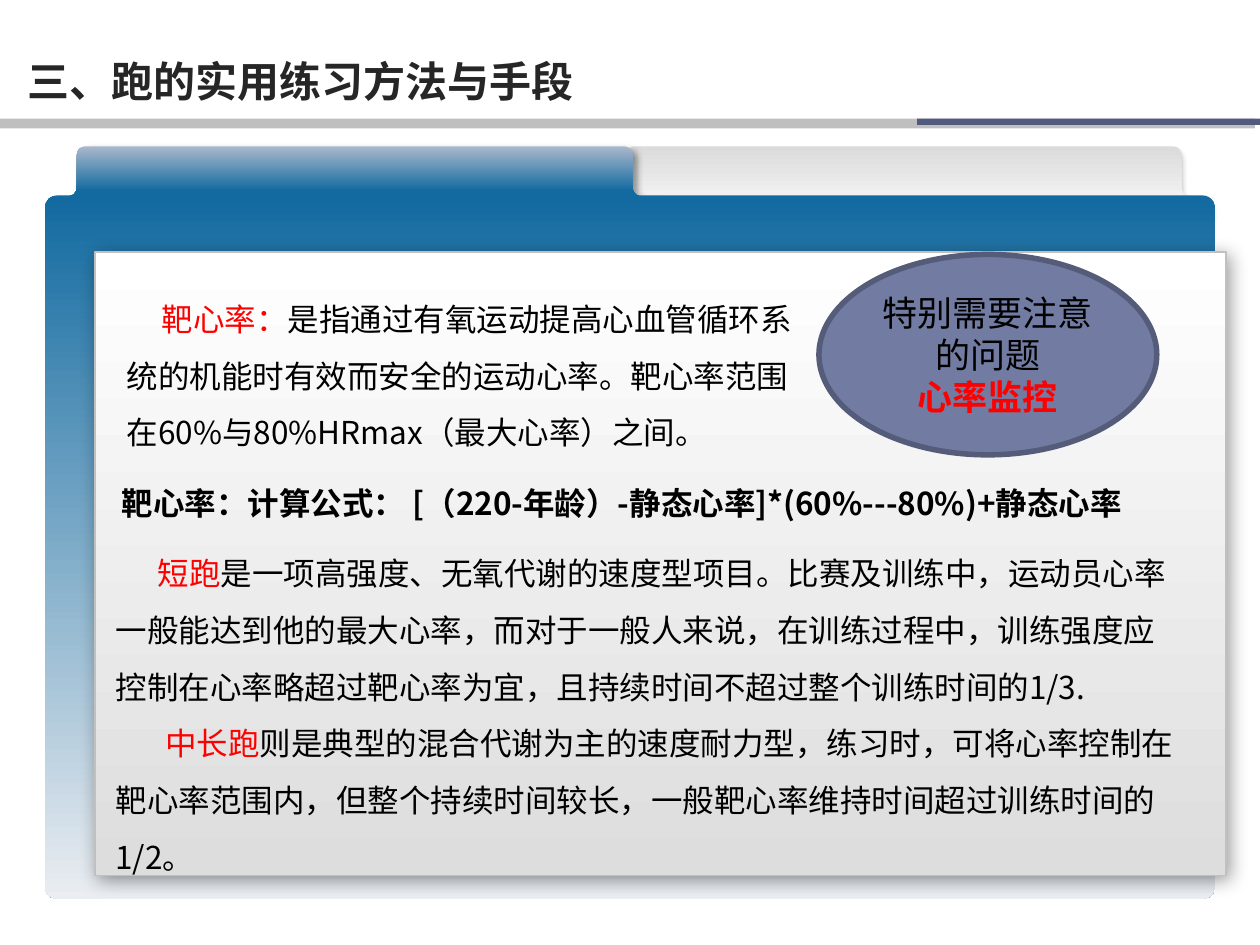
from lxml.etree import SubElement
from pptx import Presentation
from pptx.dml.color import RGBColor
from pptx.enum.shapes import MSO_SHAPE
from pptx.enum.text import MSO_ANCHOR, MSO_AUTO_SIZE, PP_ALIGN
from pptx.oxml.ns import qn
from pptx.util import Cm, Pt

FONT = "Noto Sans CJK SC"
BLACK, RED, GREY, BLUE = "000000", "FF0000", "BFBFBF", "126AA0"


def color(value):
    return RGBColor.from_string(value)


def rounded(start, corner, end, steps=6):
    def blend(a, b, c, t):
        return (1 - t) ** 2 * a + 2 * t * (1 - t) * b + t ** 2 * c

    return [tuple(blend(*axis, i / steps) for axis in zip(start, corner, end))
            for i in range(steps + 1)]


class FolderSlide:
    """Holds the style and the current slide, with a method for each kind of element."""

    def __init__(self, slide):
        self.slide = slide
        self.shapes = slide.shapes

    def place(self, shape, box):
        shape.left, shape.top, shape.width, shape.height = map(Cm, box)

    def paint(self, shape, fill, line=None, shadow=None):
        if isinstance(fill, str):
            shape.fill.solid()
            shape.fill.fore_color.rgb = color(fill)
        else:
            shape.fill.gradient()
            shape.fill.gradient_angle = 270
            for stop, (position, value) in zip(shape.fill.gradient_stops, fill):
                stop.position = position
                stop.color.rgb = color(value)
        if line:
            shape.line.color.rgb = color(line[0])
            shape.line.width = Pt(line[1])
        else:
            shape.line.fill.background()
        shape.shadow.inherit = False
        if shadow:
            alpha, blur, distance, angle = shadow
            effects = shape._element.spPr.find(qn("a:effectLst"))
            outer = SubElement(effects, qn("a:outerShdw"), blurRad=str(Pt(blur)),
                               dist=str(Pt(distance)), dir=str(angle * 60000),
                               algn="tl", rotWithShape="0")
            black = SubElement(outer, qn("a:srgbClr"), val=BLACK)
            SubElement(black, qn("a:alpha"), val=str(alpha * 1000))

    def block(self, kind, box, fill, line=None, shadow=None):
        shape = self.shapes.add_shape(kind, *map(Cm, box))
        self.paint(shape, fill, line, shadow)
        return shape

    def tab(self, left, top, fill, shadow):
        width, height, shoulder, inset, r = 12.42, 1.41, 1.01, 0.61, 0.2
        half = [(0, height)]
        half += rounded((0, shoulder + r), (0, shoulder), (r, shoulder))
        half += rounded((inset - r, shoulder), (inset, shoulder), (inset, shoulder - r))
        half += rounded((inset, r), (inset, 0), (inset + r, 0))
        outline = half + [(width - x, y) for x, y in reversed(half)]
        points = [(Cm(left + x), Cm(top + y)) for x, y in outline]
        builder = self.shapes.build_freeform(*points[0])
        builder.add_line_segments(points[1:], close=True)
        self.paint(builder.convert_to_shape(), fill, shadow=shadow)

    def style(self, run, size, value, bold=False):
        run.font.size = Pt(size)
        run.font.bold = bold
        run.font.color.rgb = color(value)
        run.font.name = FONT
        SubElement(run._r.get_or_add_rPr(), qn("a:ea"), typeface=FONT)

    def title(self, wording, box):
        heading = self.shapes.title
        self.place(heading, box)
        frame = heading.text_frame
        frame.text = wording
        frame.vertical_anchor = MSO_ANCHOR.MIDDLE
        frame.auto_size = MSO_AUTO_SIZE.NONE
        frame.paragraphs[0].alignment = PP_ALIGN.LEFT
        self.style(frame.paragraphs[0].runs[0], 24, "262626", True)

    def badge(self, box, lines):
        oval = self.block(MSO_SHAPE.OVAL, box, "727CA3", ("545C79", 3.15))
        frame = oval.text_frame
        frame.text = "\n".join(wording for wording, _, _ in lines)
        frame.vertical_anchor = MSO_ANCHOR.MIDDLE
        for paragraph, (_, value, bold) in zip(frame.paragraphs, lines):
            paragraph.alignment = PP_ALIGN.CENTER
            self.style(paragraph.runs[0], 20, value, bold)

    def text(self, box, paragraphs, spacing=1.0, bold=False):
        frame = self.shapes.add_textbox(*map(Cm, box)).text_frame
        frame.word_wrap = True
        frame.auto_size = MSO_AUTO_SIZE.SHAPE_TO_FIT_TEXT
        for index, (indent, term, rest) in enumerate(paragraphs):
            paragraph = frame.add_paragraph() if index else frame.paragraphs[0]
            paragraph.line_spacing = spacing
            paragraph._p.get_or_add_pPr().set("indent", str(Cm(indent)))
            for wording, value in ((term, RED), (rest, BLACK)):
                if wording:
                    run = paragraph.add_run()
                    run.text = wording
                    self.style(run, 18, value, bold)


def main():
    deck = Presentation()
    deck.slide_width, deck.slide_height = Cm(25.4), Cm(19.05)
    page = FolderSlide(deck.slides.add_slide(deck.slide_layouts[5]))

    page.title("三、跑的实用练习方法与手段", (0.3, 0.74, 16.2, 1.78))
    page.block(MSO_SHAPE.RECTANGLE, (0, 2.39, 25.3, 0.2), GREY)
    page.block(MSO_SHAPE.RECTANGLE, (18.49, 2.39, 6.91, 0.13), "525B7E")

    page.tab(12.01, 2.95, [(0, "DBDBDB"), (1, "FAFAFA")], (32, 3.5, 2.2, 90))
    page.tab(0.94, 2.95, [(0, "AAB8CC"), (0.64, BLUE)], (40, 4, 3, 45))
    folder = page.block(MSO_SHAPE.ROUNDED_RECTANGLE, (0.9, 3.94, 23.6, 14.18),
                        [(0, BLUE), (1, "EAEDF1")])
    folder.adjustments[0] = 0.018
    page.block(MSO_SHAPE.RECTANGLE, (1.91, 5.08, 22.8, 12.57),
               [(0, "FFFFFF"), (1, "DDDDDD")], ("C0C0C0", 1), (40, 10, 3, 45))

    page.text((2.21, 9.63, 22.5, 1.02), [
        (0, "", "靶心率：计算公式： [（220-年龄）-静态心率]*(60%---80%)+静态心率")], bold=True)
    page.badge((16.51, 5.13, 6.81, 4.04), [
        ("特别需要注意的问题", BLACK, False), ("心率监控", RED, True)])
    page.text((2.31, 5.54, 14.2, 3.71), [
        (0.7, "靶心率：", "是指通过有氧运动提高心血管循环系统的机能时有效而安全的运动心率。"
         "靶心率范围在60%与80%HRmax（最大心率）之间。")], 1.5)
    page.text((2.08, 10.67, 22.02, 7.19), [
        (0.85, "短跑", "是一项高强度、无氧代谢的速度型项目。比赛及训练中，运动员心率一般能达到他的最大心率，"
         "而对于一般人来说，在训练过程中，训练强度应控制在心率略超过靶心率为宜，"
         "且持续时间不超过整个训练时间的1/3."),
        (1, "中长跑", "则是典型的混合代谢为主的速度耐力型，练习时，可将心率控制在靶心率范围内，"
         "但整个持续时间较长，一般靶心率维持时间超过训练时间的1/2。")], 1.5)
    deck.save("out.pptx")


if __name__ == "__main__":
    main()
